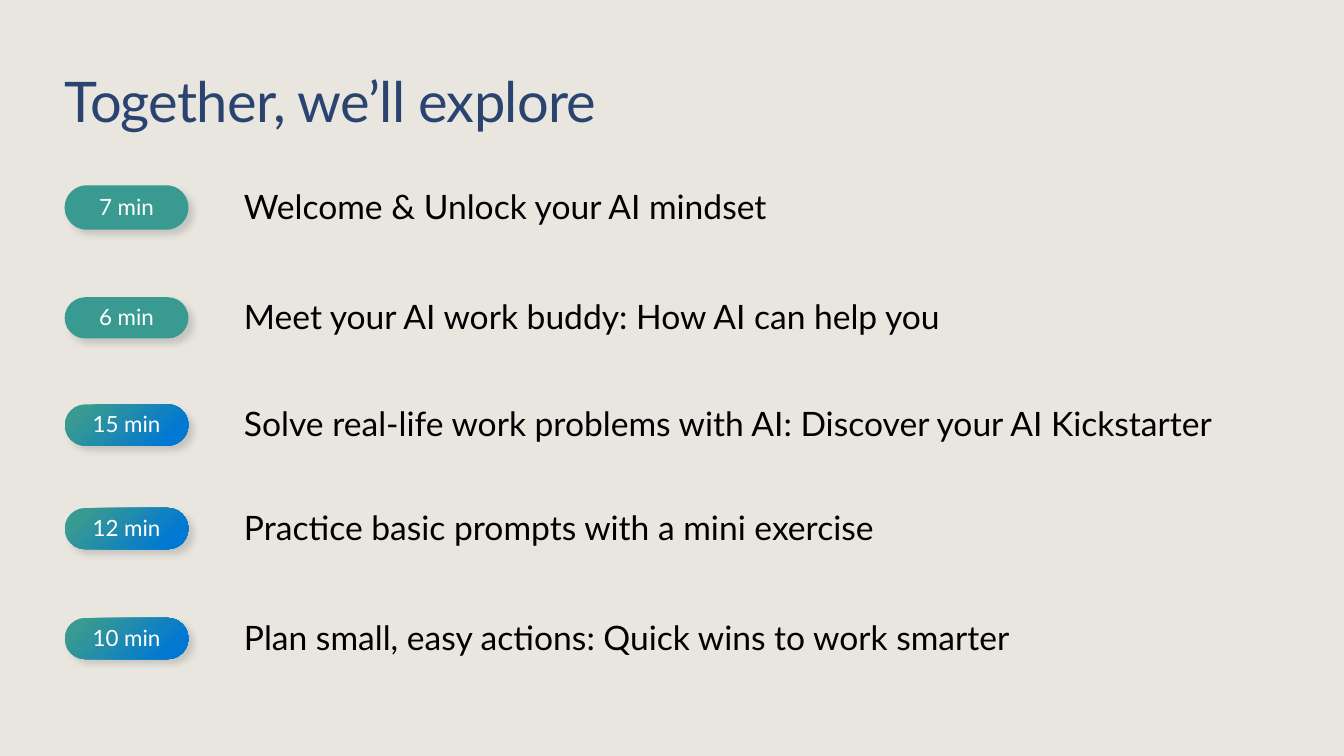
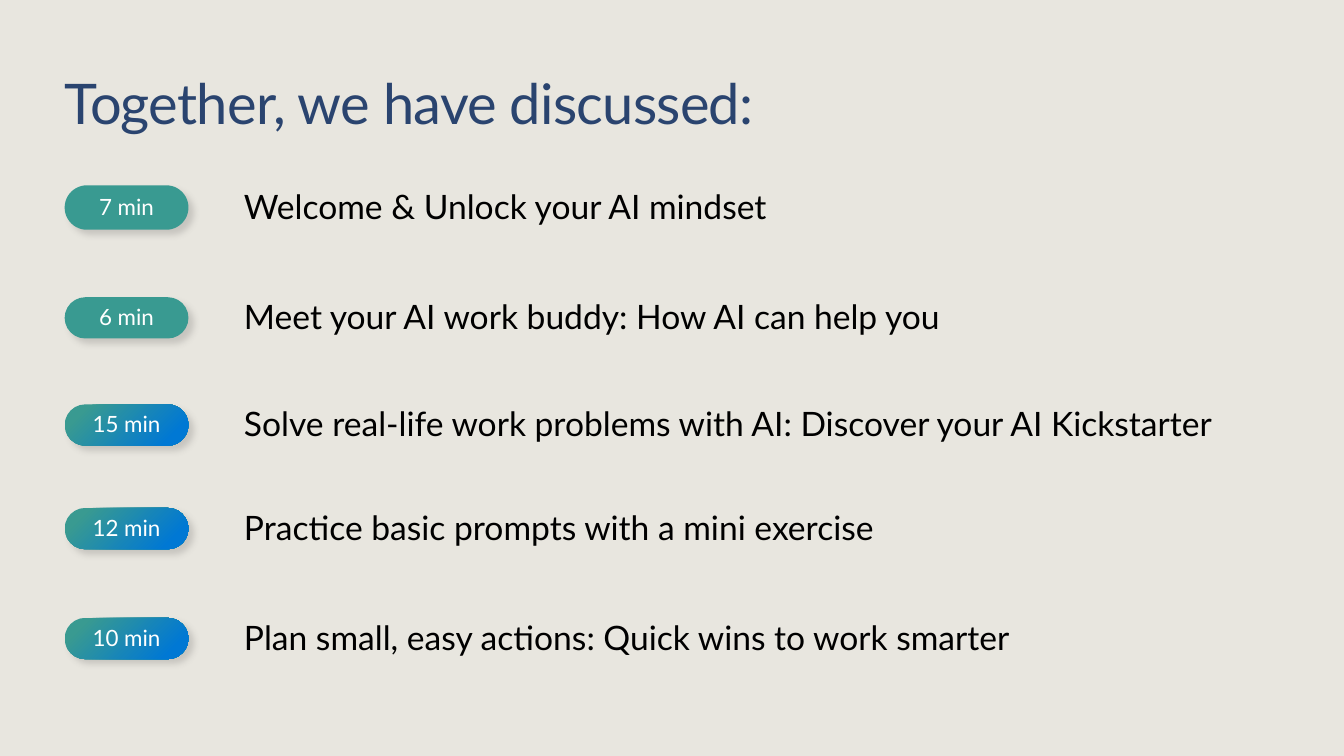
from lxml.etree import SubElement
from pptx import Presentation
from pptx.dml.color import RGBColor
from pptx.enum.shapes import MSO_SHAPE
from pptx.enum.text import MSO_ANCHOR, PP_ALIGN
from pptx.oxml.ns import qn
from pptx.util import Cm, Pt

COLOURS = {
    "background": "E8E6DF",
    "title": "2A446F",
    "body": "000000",
    "label": "FFFFFF",
    "teal": "399A91",
    "blue": "0078D4",
    "shadow": "454142",
}
FORMATS = {
    "title": {"name": "Lato", "size": Pt(40)},
    "body": {"name": "Lato", "size": Pt(24)},
    "label": {"name": "Lato", "size": Pt(16)},
}

# (title, top of the title in cm)
SLIDES = [
    ("Together, we’ll explore", 1.85),
    ("Together, we have discussed:", 1.9),
]
# (duration, topic, middle of the row in cm, pill height in cm, pill fill)
AGENDA = [
    ("7 min", "Welcome & Unlock your AI mindset", 5.23, 1.12, "plain"),
    ("6 min", "Meet your AI work buddy: How AI can help you", 8.01, 1.04, "plain"),
    ("15 min", "Solve real-life work problems with AI: Discover your AI Kickstarter",
     10.71, 1.04, "gradient"),
    ("12 min", "Practice basic prompts with a mini exercise", 13.32, 1.04, "gradient"),
    ("10 min", "Plan small, easy actions: Quick wins to work smarter",
     16.09, 1.04, "gradient"),
]

MARGIN, TITLE_WIDTH, TITLE_HEIGHT = 1.63, 30.6, 1.55
PILL_WIDTH = 3.12
TOPIC_LEFT, TOPIC_WIDTH, TOPIC_HEIGHT = 6.15, 27.25, 1.02
TOPIC_LIFT = 0.04


def colour(name):
    return RGBColor.from_string(COLOURS[name])


def write(shape, text, style, anchor, bottom_inset=0):
    frame = shape.text_frame
    settings = {
        "word_wrap": True, "vertical_anchor": anchor,
        "margin_left": 0, "margin_top": 0, "margin_right": 0,
        "margin_bottom": Cm(bottom_inset),
    }
    for name, value in settings.items():
        setattr(frame, name, value)
    para = frame.paragraphs[0]
    span = para.add_run()
    span.text = text
    for name, value in FORMATS[style].items():
        setattr(span.font, name, value)
    span.font.color.rgb = colour(style)
    return para, span


def add_text(page, text, style, anchor, left, top, width, height):
    box = page.shapes.add_textbox(Cm(left), Cm(top), Cm(width), Cm(height))
    return write(box, text, style, anchor)


def add_title(page, text, top):
    para, span = add_text(page, text, "title", MSO_ANCHOR.BOTTOM,
                          MARGIN, top, TITLE_WIDTH, TITLE_HEIGHT)
    para.line_spacing = 0.9
    span.font._element.set("spc", "-50")


def fill_gradient(shape):
    """Spread blue from the bottom right corner into teal."""
    shape.fill.gradient()
    stops = zip(shape.fill.gradient_stops, [(0.15, "blue"), (0.85, "teal")])
    for stop, (position, name) in stops:
        stop.position = position
        stop.color.rgb = colour(name)
    gradient = shape._element.spPr.find(qn("a:gradFill"))
    gradient.remove(gradient.find(qn("a:lin")))
    circle = SubElement(gradient, qn("a:path"), path="circle")
    SubElement(circle, qn("a:fillToRect"), l="100000", t="100000")


def add_shadow(shape):
    shape.shadow.inherit = False
    effects = shape._element.spPr.find(qn("a:effectLst"))
    shadow = SubElement(effects, qn("a:outerShdw"), blurRad=str(Pt(5)),
                        dist=str(Pt(5)), dir="2700000", algn="tl",
                        rotWithShape="0")
    tint = SubElement(shadow, qn("a:srgbClr"), val=COLOURS["shadow"])
    SubElement(tint, qn("a:alpha"), val="20000")


def add_pill(page, duration, middle, height, fill):
    pill = page.shapes.add_shape(
        MSO_SHAPE.ROUNDED_RECTANGLE, Cm(MARGIN), Cm(middle - height / 2),
        Cm(PILL_WIDTH), Cm(height))
    pill.adjustments[0] = 0.5
    if fill == "gradient":
        fill_gradient(pill)
    else:
        pill.fill.solid()
        pill.fill.fore_color.rgb = colour("teal")
    pill.line.fill.background()
    add_shadow(pill)
    para, _ = write(pill, duration, "label", MSO_ANCHOR.MIDDLE, 0.05)
    para.alignment = PP_ALIGN.CENTER


def main():
    deck = Presentation()
    deck.slide_width, deck.slide_height = Cm(33.87), Cm(19.05)
    backdrop = deck.slide_master.background.fill
    backdrop.solid()
    backdrop.fore_color.rgb = colour("background")
    for title, title_top in SLIDES:
        page = deck.slides.add_slide(deck.slide_layouts[6])
        add_title(page, title, title_top)
        for duration, topic, middle, height, fill in AGENDA:
            add_pill(page, duration, middle, height, fill)
            add_text(page, topic, "body", MSO_ANCHOR.TOP, TOPIC_LEFT,
                     middle - TOPIC_HEIGHT / 2 - TOPIC_LIFT,
                     TOPIC_WIDTH, TOPIC_HEIGHT)
    deck.save("out.pptx")


if __name__ == "__main__":
    main()
